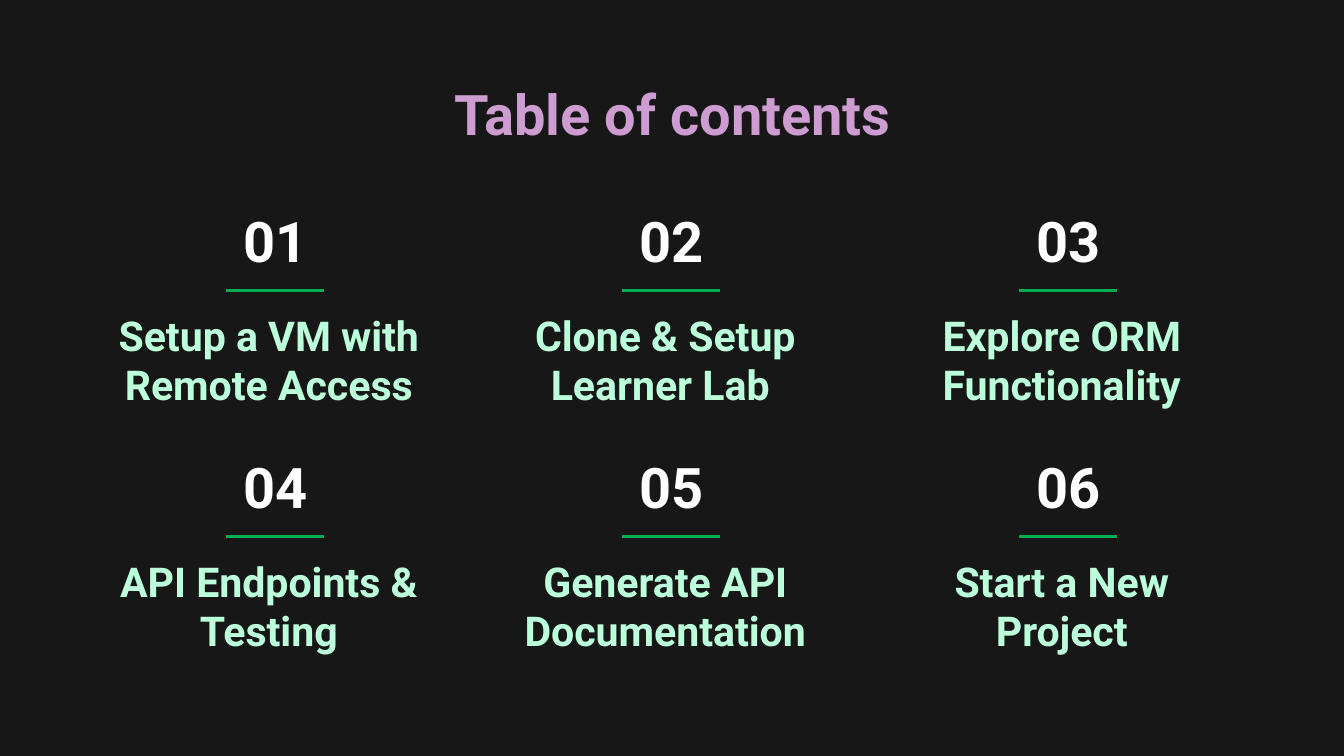
"""Build a dark table of contents slide with six numbered sections."""
from lxml.etree import SubElement
from pptx import Presentation
from pptx.dml.color import RGBColor
from pptx.enum.shapes import MSO_CONNECTOR as Connector
from pptx.enum.text import MSO_ANCHOR as Anchor, PP_ALIGN as Align
from pptx.oxml.ns import qn
from pptx.util import Inches, Pt

BACKGROUND = RGBColor(0x17, 0x17, 0x17)
WHITE = RGBColor(0xFF, 0xFF, 0xFF)
GREEN = RGBColor(0x00, 0xB0, 0x50)
MINT = RGBColor(0xBC, 0xFF, 0xDB)
LILAC = RGBColor(0xCD, 0x9C, 0xD0)
SKY = RGBColor(0x9C, 0xCA, 0xED)

SECTIONS = [
    "Setup a VM with Remote Access",
    "Clone & Setup Learner Lab ",
    "Explore ORM Functionality",
    "API Endpoints & Testing",
    "Generate API Documentation",
    "Start a New Project",
]
COLUMNS = 3
COLUMN_STEP = 2.95
ROW_STEP = 1.83


class ContentsPage:
    font_name = "Roboto"
    inset = Inches(0.1)

    def __init__(self, deck):
        self.page = deck.slides.add_slide(deck.slide_layouts[6])
        fill = self.page.background.fill
        fill.solid()
        fill.fore_color.rgb = BACKGROUND

    def text(self, words, left, top, width, height, size, colors, anchor=Anchor.TOP):
        box = self.page.shapes.add_textbox(
            Inches(left), Inches(top), Inches(width), Inches(height))
        frame = box.text_frame
        frame.word_wrap = True
        frame.vertical_anchor = anchor
        frame.margin_left = frame.margin_right = self.inset
        frame.margin_top = frame.margin_bottom = self.inset
        para = frame.paragraphs[0]
        para.alignment = Align.CENTER
        span = para.add_run()
        span.text = words
        span.font.name = self.font_name
        span.font.size = Pt(size)
        span.font.bold = True
        self.paint(span.font.fill, colors)

    def paint(self, fill, colors):
        if len(colors) == 1:
            fill.solid()
            fill.fore_color.rgb = colors[0]
            return
        fill.gradient()
        fill.gradient_angle = 0
        for stop, color in zip(fill.gradient_stops, colors):
            stop.color.rgb = color

    def rule(self, left, top, width):
        line = self.page.shapes.add_connector(
            Connector.STRAIGHT, Inches(left), Inches(top),
            Inches(left + width), Inches(top))
        line.line.color.rgb = GREEN
        line.line.width = Pt(1.5)
        SubElement(line._element.spPr, qn("a:effectLst"))

    def section(self, index, label):
        row, column = divmod(index, COLUMNS)
        across, down = column * COLUMN_STEP, row * ROW_STEP
        self.text(f"{index + 1:02}", 1.65 + across, 1.45 + down, 0.8, 0.69,
                  30, [WHITE], Anchor.BOTTOM)
        self.rule(1.68 + across, 2.16 + down, 0.73)
        self.text(label, 0.69 + across, 2.21 + down, 2.62, 0.88, 22, [MINT, SKY])


def main():
    deck = Presentation()
    deck.slide_width = Inches(10)
    deck.slide_height = deck.slide_width * 9 // 16
    contents = ContentsPage(deck)
    contents.text("Table of contents", 0.79, 0.49, 8.43, 0.63, 30, [LILAC, SKY])
    for index, label in enumerate(SECTIONS):
        contents.section(index, label)
    deck.save("out.pptx")


if __name__ == "__main__":
    main()
